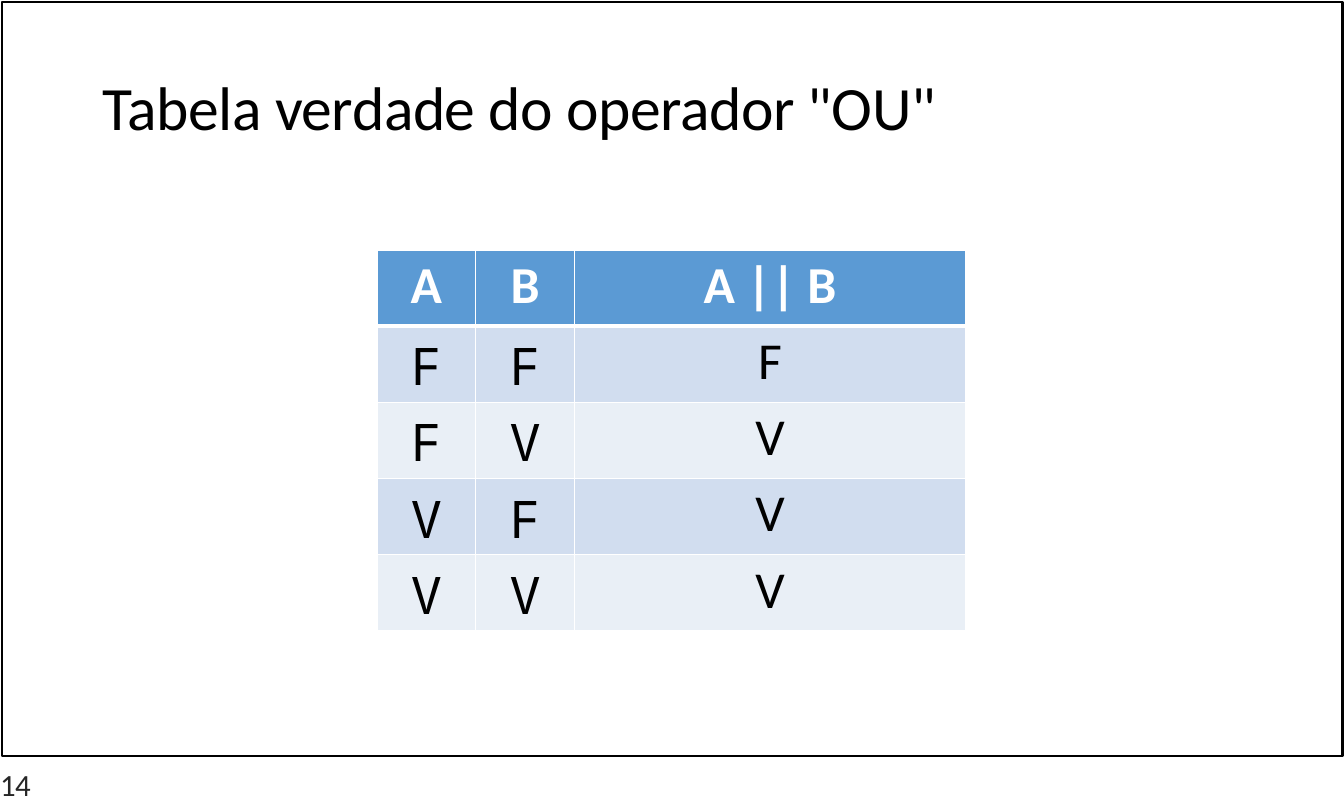
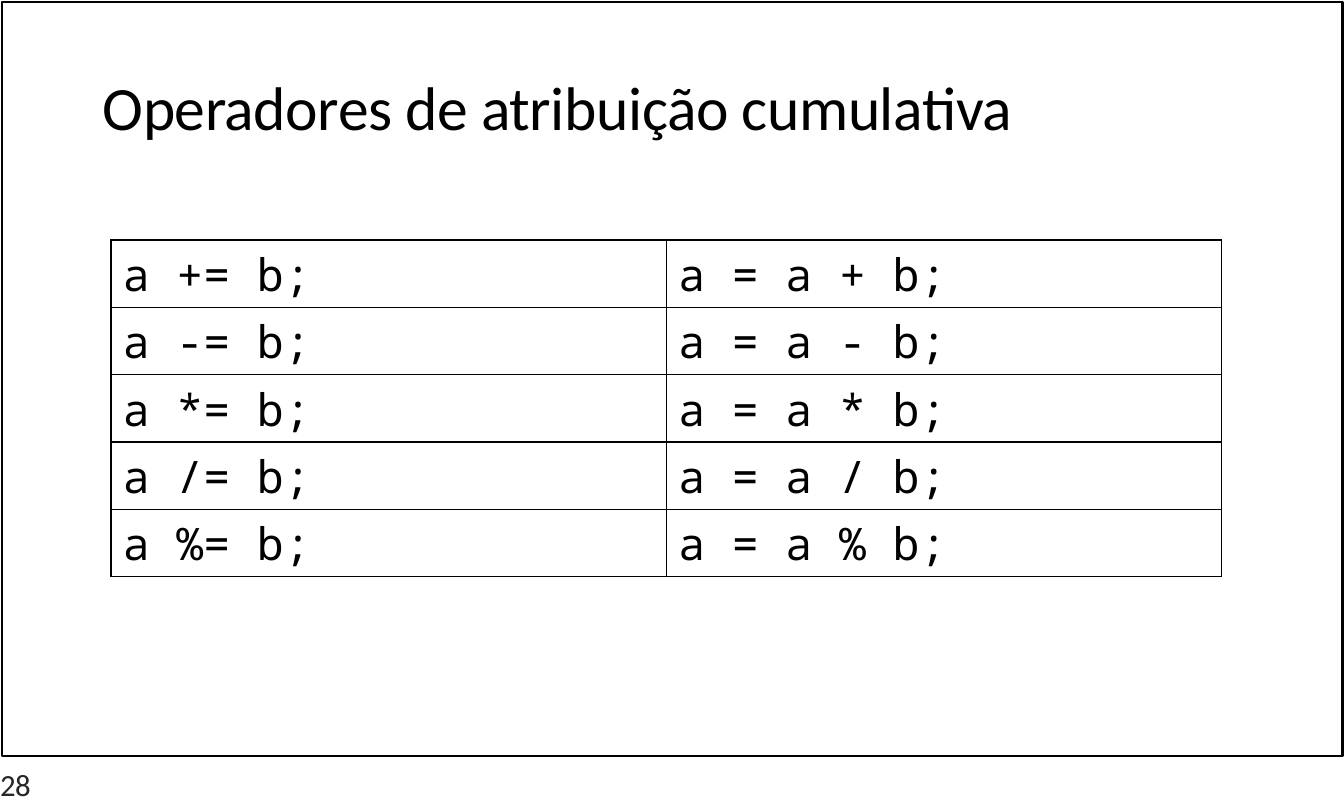
from dataclasses import dataclass

from lxml.etree import SubElement
from pptx import Presentation
from pptx.dml.color import RGBColor
from pptx.enum.shapes import MSO_SHAPE
from pptx.enum.text import MSO_ANCHOR, MSO_AUTO_SIZE, PP_ALIGN
from pptx.oxml.ns import qn
from pptx.slide import Slide
from pptx.util import Inches, Pt

BLACK = RGBColor(0x00, 0x00, 0x00)
WHITE = RGBColor(0xFF, 0xFF, 0xFF)
GREY = RGBColor(0x26, 0x26, 0x26)
BLUE = RGBColor(0x5B, 0x9A, 0xD4)
BANDS = (RGBColor(0xD1, 0xDD, 0xEF), RGBColor(0xE9, 0xEF, 0xF6))
SANS = "Calibri"
MONO = "Noto Sans Mono"
THIN, THICK = 0.5, 1.5
POINTS = 72
WIDE, HIGH = 480 / POINTS, 287.5 / POINTS


@dataclass(frozen=True)
class Style:
    """Look of one paragraph; lengths in points, indent in inches."""
    size: float
    font: str = SANS
    color: RGBColor = BLACK
    bold: bool = False
    align: PP_ALIGN = PP_ALIGN.LEFT
    before: float = 1.1
    indent: float = 0.01
    track: float = 0


@dataclass(frozen=True)
class Grid:
    """Place and content of a table, in inches."""
    left: float
    top: float
    height: float
    cols: tuple[float, ...]
    rows: list[tuple[str, ...]]


TITLE = Style(22, before=0.9, track=-0.15)
NUMBER = Style(11, color=GREY, track=-0.2)
HEAD = Style(18.5, color=WHITE, bold=True, align=PP_ALIGN.CENTER, indent=0)
INPUT = Style(18.5, MONO, align=PP_ALIGN.CENTER, indent=0)
RESULT = Style(18.5, align=PP_ALIGN.CENTER, indent=0)
CODE = Style(16, MONO, before=1.5, indent=0.06)

PAIRS = [(a, b) for a in (False, True) for b in (False, True)]
TRUTH = Grid(1.87, 1.24, 1.89, (0.49, 0.49, 1.94), [("A", "B", "A || B")] + [
    tuple("V" if v else "F" for v in (a, b, a or b)) for a, b in PAIRS])
ASSIGN = Grid(0.55, 1.19, 1.67, (5.51 / 2,) * 2, [
    (f"a {sign}= b;", f"a = a {sign} b;") for sign in "+-*/%"])


def write(frame, text: str, style: Style) -> None:
    """Fill a text frame with one styled paragraph."""
    frame.text = text
    para = frame.paragraphs[0]
    para.alignment = style.align
    para.space_before = Pt(style.before)
    props = para._p.get_or_add_pPr()
    props.set("marL", str(Inches(style.indent)))
    props.set("indent", "0")
    for run in para.runs:
        font = run.font
        font.size = Pt(style.size)
        font.name = style.font
        font.bold = style.bold
        font.color.rgb = style.color
        run._r.get_or_add_rPr().set("spc", str(round(style.track * 100)))


def inset(box, top: float) -> None:
    """Keep only a top margin in a frame or cell."""
    box.margin_left = box.margin_right = box.margin_bottom = 0
    box.margin_top = Inches(top)


def label(shape, text: str, style: Style, at: tuple[float, ...]) -> None:
    """Place a shape and write its line of text."""
    shape.left, shape.top, shape.width, shape.height = map(Inches, at)
    frame = shape.text_frame
    write(frame, text, style)
    inset(frame, 0.01)
    frame.word_wrap = True
    frame.vertical_anchor = MSO_ANCHOR.TOP
    frame.auto_size = MSO_AUTO_SIZE.SHAPE_TO_FIT_TEXT


def edge(cell, color: RGBColor, top: float = THIN, base: float = THIN) -> None:
    """Draw the four borders of a cell."""
    props = cell._tc.get_or_add_tcPr()
    for side, width in zip("LRTB", (THIN, THIN, top, base)):
        line = SubElement(props, qn(f"a:ln{side}"), w=str(Pt(width)))
        fill = SubElement(line, qn("a:solidFill"))
        SubElement(fill, qn("a:srgbClr"), val=str(color))


def add_grid(slide: Slide, grid: Grid):
    """Add a table with no preset bands and even rows."""
    count = len(grid.rows)
    table = slide.shapes.add_table(
        count, len(grid.cols), Inches(grid.left), Inches(grid.top),
        Inches(sum(grid.cols)), Inches(grid.height)).table
    table.first_row = table.horz_banding = False
    for col, width in zip(table.columns, grid.cols):
        col.width = Inches(width)
    for row in table.rows:
        row.height = Inches(grid.height / count)
    for cell in table.iter_cells():
        inset(cell, 0.02)
    return table


def add_truth(slide: Slide, grid: Grid) -> None:
    """Add the banded truth table."""
    table = add_grid(slide, grid)
    last = len(grid.cols) - 1
    for r, row in enumerate(grid.rows):
        for c, text in enumerate(row):
            cell = table.cell(r, c)
            style = HEAD if r == 0 else RESULT if c == last else INPUT
            write(cell.text_frame, text, style)
            edge(cell, WHITE, THICK if r == 1 else THIN,
                 THICK if r == 0 else THIN)
            cell.fill.solid()
            cell.fill.fore_color.rgb = BANDS[(r - 1) % 2] if r else BLUE


def add_code(slide: Slide, grid: Grid) -> None:
    """Add the plain table of code lines."""
    table = add_grid(slide, grid)
    for r, row in enumerate(grid.rows):
        for c, text in enumerate(row):
            cell = table.cell(r, c)
            write(cell.text_frame, text, CODE)
            edge(cell, BLACK)
            cell.fill.background()


def add_frame(slide: Slide) -> None:
    """Outline the page area above the number."""
    frame = slide.shapes.add_shape(
        MSO_SHAPE.RECTANGLE, Inches(0.01), Inches(0.01),
        Inches(6.65), Inches(3.74))
    frame.shadow.inherit = False
    frame.fill.background()
    frame.line.color.rgb = BLACK
    frame.line.width = Pt(0.96)


def add_page(deck, title: str, width: float, number: int) -> Slide:
    """Add a slide with title, frame and page number."""
    slide = deck.slides.add_slide(deck.slide_layouts[5])
    label(slide.shapes.title, title, TITLE, (0.5, 0.33, width, 0.39))
    add_frame(slide)
    box = slide.shapes.add_textbox(0, 0, 0, 0)
    label(box, str(number), NUMBER, (-0.01, 3.79, 0.18, 0.21))
    return slide


def main() -> None:
    """Build and save the deck."""
    deck = Presentation()
    deck.slide_width = Inches(WIDE)
    deck.slide_height = Inches(HIGH)
    truth = add_page(deck, 'Tabela verdade do operador "OU"', 4.17, 14)
    add_truth(truth, TRUTH)
    assign = add_page(deck, "Operadores de atribuição cumulativa", 4.56, 28)
    add_code(assign, ASSIGN)
    deck.save("out.pptx")


main()
